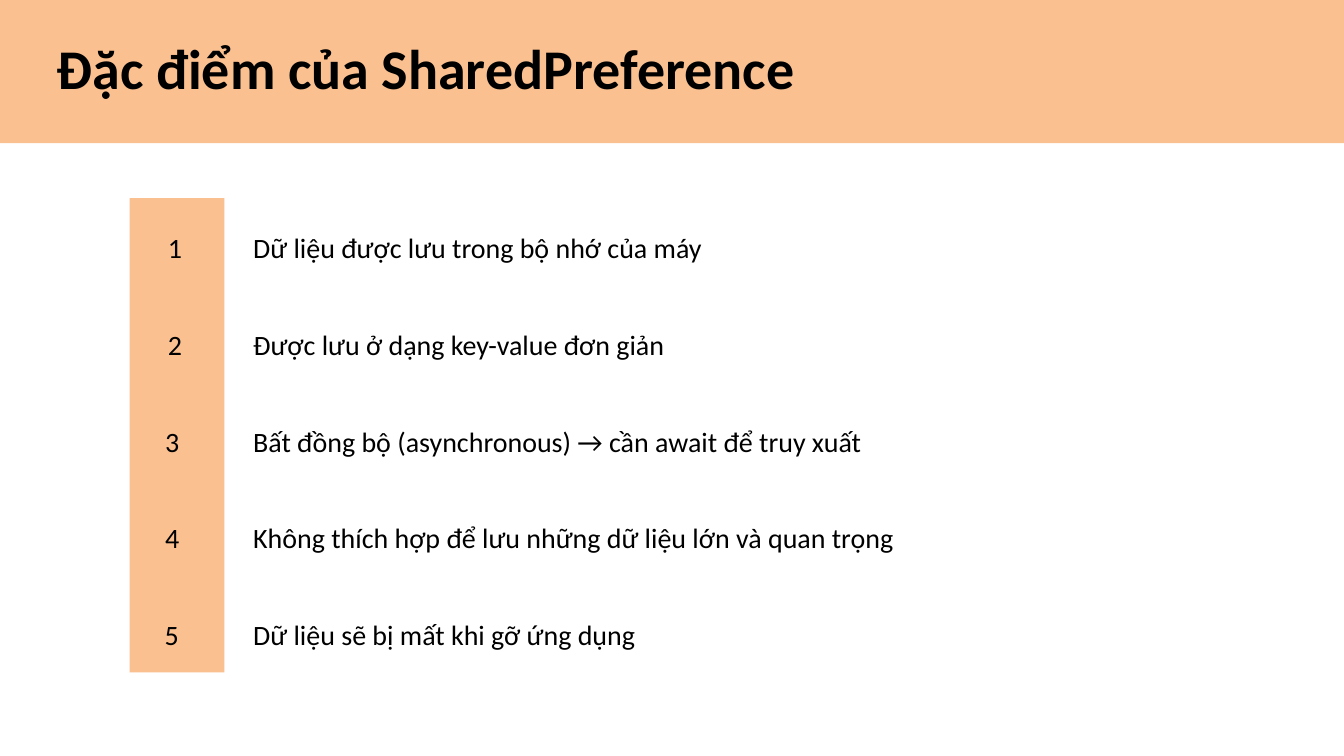
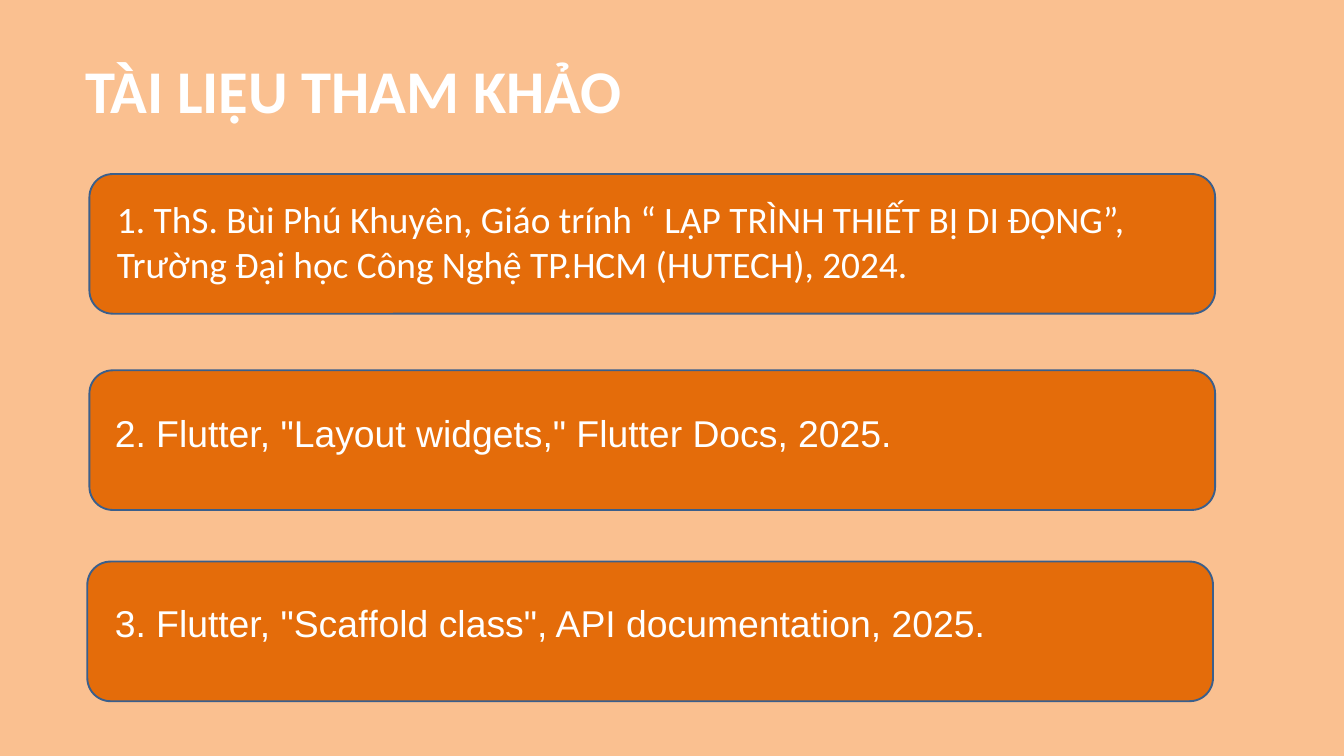
from pptx import Presentation
from pptx import util as u
from pptx.dml.color import RGBColor
from pptx.enum import shapes, text

PEACH, ORANGE, NAVY = "FAC090", "E46C0A", "3A5F8C"
BLACK, WHITE = "000000", "FFFFFF"
WIDTH, HEIGHT = 50.8, 28.58

FEATURES_TITLE = "Đặc điểm của SharedPreference"
FEATURES = [
    {"text": "Dữ liệu được lưu trong bộ nhớ của máy", "width": 20.4,
     "number_left": 6.1, "number_width": 1.83, "wrap": True},
    {"text": "Được lưu ở dạng key-value đơn giản", "width": 20.12,
     "number_left": 6.1, "number_width": 1.27, "wrap": True},
    {"text": "Bất đồng bộ (asynchronous) → cần await để truy xuất", "width": 27.53,
     "number_left": 5.99, "number_width": 2.13, "wrap": True},
    {"text": "Không thích hợp để lưu những dữ liệu lớn và quan trọng", "width": 27.61,
     "number_left": 5.99, "number_width": 1.27, "wrap": False},
    {"text": "Dữ liệu sẽ bị mất khi gỡ ứng dụng", "width": 16.71,
     "number_left": 5.97, "number_width": 1.07, "wrap": False},
]
FEATURE_TOP, FEATURE_STEP, FEATURE_LEFT, FEATURE_HEIGHT = 8.59, 3.66, 9.32, 1.55

REFERENCES_TITLE = "TÀI LIỆU THAM KHẢO"
TIGHT = {"font": "Arial", "spacing": 19.2, "inset": 0}
REFERENCES = [
    ("1. ThS. Bùi Phú Khuyên, Giáo trính “ LẬP TRÌNH THIẾT BỊ DI ĐỘNG”, "
     "Trường Đại học Công Nghệ TP.HCM (HUTECH), 2024.",
     (3.38, 6.58), (4.17, 7.29, 41.2, 3.68), {}),
    ('2. Flutter, "Layout widgets," Flutter Docs, 2025.',
     (3.38, 14), (4.34, 16.51, 35.59, 0.84), TIGHT),
    ('3. Flutter, "Scaﬀold class", API documentation, 2025.',
     (3.3, 21.23), (4.34, 23.72, 38.18, 0.84), TIGHT),
]
CARD_SIZE = (42.55, 5.28)


def color(value):
    return RGBColor.from_string(value)


def lengths(box):
    return [u.Cm(value) for value in box]


def apply(target, values):
    for name, value in values.items():
        setattr(target, name, value)


def add_block(slide, box, fill, kind=shapes.MSO_SHAPE.RECTANGLE, line=None):
    shape = slide.shapes.add_shape(kind, *lengths(box))
    shape.shadow.inherit = False
    shape.fill.solid()
    shape.fill.fore_color.rgb = color(fill)
    if line:
        shape.line.color.rgb = color(line)
        shape.line.width = u.Pt(2)
    else:
        shape.line.fill.background()


def add_text(slide, box, words, size, ink, bold=False, wrap=True,
             font="Calibri", spacing=None, inset=None):
    frame = slide.shapes.add_textbox(*lengths(box)).text_frame
    apply(frame, {"word_wrap": wrap, "auto_size": text.MSO_AUTO_SIZE.SHAPE_TO_FIT_TEXT})
    if inset is not None:
        for side in ("left", "top", "right", "bottom"):
            setattr(frame, f"margin_{side}", u.Cm(inset))
    paragraph = frame.paragraphs[0]
    if spacing:
        paragraph.line_spacing = u.Pt(spacing)
    run = paragraph.add_run()
    run.text = words
    apply(run.font, {"name": font, "size": u.Pt(size), "bold": bold})
    run.font.color.rgb = color(ink)


def build_features(slide):
    add_block(slide, (-0.05, -0.03, 50.85, 5.44), PEACH)
    add_text(slide, (1.9, 1.14, 35.86, 2.82), FEATURES_TITLE, 60, BLACK, bold=True)
    add_block(slide, (4.9, 7.49, 3.58, 17.93), PEACH)
    for index, feature in enumerate(FEATURES):
        top = FEATURE_TOP + index * FEATURE_STEP
        number_box = (feature["number_left"], top, feature["number_width"], FEATURE_HEIGHT)
        add_text(slide, number_box, str(index + 1), 30, BLACK)
        add_text(slide, (FEATURE_LEFT, top, feature["width"], FEATURE_HEIGHT),
                 feature["text"], 30, BLACK, wrap=feature["wrap"])


def build_references(slide):
    add_block(slide, (0, 0, WIDTH, HEIGHT), PEACH)
    add_text(slide, (2.97, 1.88, 37.67, 3.02), REFERENCES_TITLE, 65, WHITE, bold=True)
    for words, corner, text_box, style in REFERENCES:
        add_block(slide, corner + CARD_SIZE, ORANGE,
                  shapes.MSO_SHAPE.ROUNDED_RECTANGLE, NAVY)
        add_text(slide, text_box, words, 40, WHITE, **style)


def main():
    presentation = Presentation()
    apply(presentation, {"slide_width": u.Cm(WIDTH), "slide_height": u.Cm(HEIGHT)})
    for build in (build_features, build_references):
        build(presentation.slides.add_slide(presentation.slide_layouts[6]))
    presentation.save("out.pptx")


if __name__ == "__main__":
    main()
